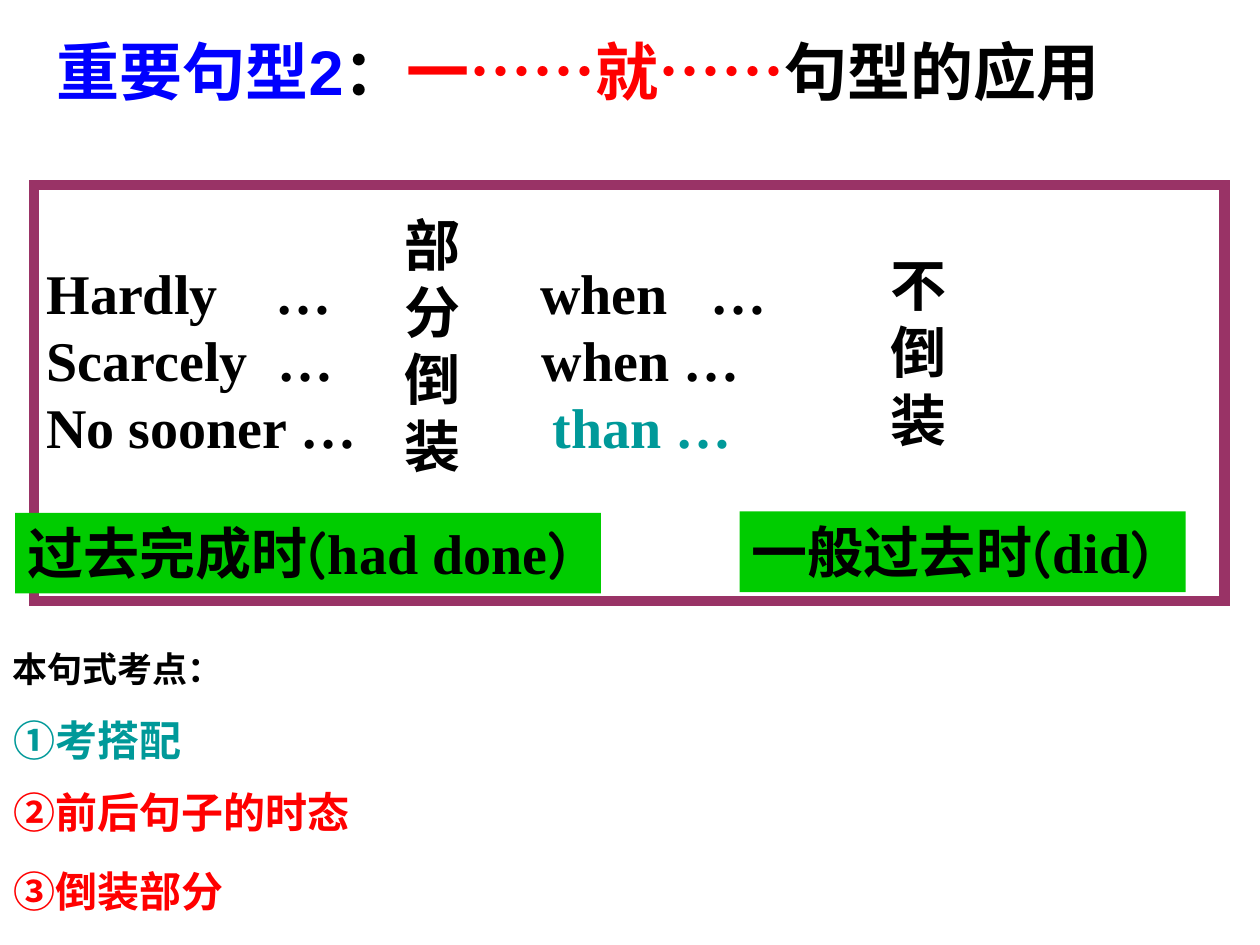
from lxml import etree
from pptx import Presentation
from pptx.dml.color import RGBColor
from pptx.enum.shapes import MSO_SHAPE
from pptx.enum.text import MSO_ANCHOR, PP_ALIGN
from pptx.oxml.ns import qn
from pptx.util import Inches, Pt

RECTANGLE = MSO_SHAPE.RECTANGLE
TOP = MSO_ANCHOR.TOP
LEFT = PP_ALIGN.LEFT
BLACK = RGBColor(0, 0, 0)
BLUE = RGBColor(0, 0, 0xFF)
RED = RGBColor(0xFF, 0, 0)
TEAL = RGBColor(0, 0x99, 0x99)
GREEN = RGBColor(0, 0xCC, 0)
PLUM = RGBColor(0x99, 0x33, 0x66)
SANS, SERIF, COMIC = "Arial", "Times New Roman", "Comic Neue"


def style_font(font, size, name=None, color=None):
    font.size = Pt(size)
    font.bold = True
    if name:
        font.name = name
    if color is not None:
        font.color.rgb = color


def add_text(page, box, text, size, name, color=BLACK):
    frame = page.shapes.add_textbox(*map(Inches, box)).text_frame
    frame.word_wrap = True
    para = frame.paragraphs[0]
    para.text = text
    style_font(para.font, size, name, color)


def add_colored_spans(para, parts):
    for text, color in parts:
        span = para.add_run()
        span.text = text
        span.font.color.rgb = color


def add_title(page, box):
    frame = page.shapes.add_textbox(*map(Inches, box)).text_frame
    frame.word_wrap = True
    para = frame.paragraphs[0]
    style_font(para.font, 36, SANS)
    add_colored_spans(para, (("重要句型2", BLUE), ("：", BLACK),
                             ("一……就……", RED), ("句型的应用", BLACK)))


def add_rectangle(page, box):
    shape = page.shapes.add_shape(RECTANGLE, *map(Inches, box))
    shape.shadow.inherit = False
    shape.text_frame.word_wrap = True
    shape.text_frame.vertical_anchor = TOP
    return shape


def add_tab_stops(para, stops):
    tabs = etree.SubElement(para._p.get_or_add_pPr(), qn("a:tabLst"))
    for stop in stops:
        etree.SubElement(tabs, qn("a:tab"), pos=str(Inches(stop)), algn="l")


def add_pattern_panel(page, box):
    panel = add_rectangle(page, box)
    panel.fill.background()
    panel.line.color.rgb = PLUM
    panel.line.width = Pt(6)
    etree.SubElement(panel.line._get_or_add_ln(), qn("a:miter"), lim="800000")
    frame = panel.text_frame
    frame.margin_top = Inches(0.58)
    rows = (
        ("Hardly\t…\t", "when\t…", BLACK, (1.82, 3.92, 5.27)),
        ("Scarcely\t…\t", "when …", BLACK, (1.83, 3.93)),
        ("No sooner …\t", "than …", TEAL, (4.02,)),
    )
    for index, (opening, ending, color, stops) in enumerate(rows):
        para = frame.paragraphs[0] if index == 0 else frame.add_paragraph()
        para.alignment = LEFT
        para.line_spacing = Pt(38.3)
        add_tab_stops(para, stops)
        style_font(para.font, 32, SERIF)
        add_colored_spans(para, ((opening, BLACK), (ending, color)))


def add_tense_label(page, box, tense, example):
    label = add_rectangle(page, box)
    label.fill.solid()
    label.fill.fore_color.rgb = GREEN
    label.line.fill.background()
    para = label.text_frame.paragraphs[0]
    para.alignment = LEFT
    style_font(para.font, 32, color=BLACK)
    for text, name in ((tense + "(", COMIC), (example, SERIF), (")", COMIC)):
        span = para.add_run()
        span.text = text
        span.font.name = name


def add_exam_points(page, left, top):
    add_text(page, (left, top, 8.51, 0.45), "本句式考点：", 20, SANS)
    points = (("①考搭配", TEAL, 0.53, 1.7),
              ("②前后句子的时态", RED, 1.1, 3.1),
              ("③倒装部分", RED, 1.73, 2.1))
    for text, color, offset, width in points:
        add_text(page, (left + 0.01, top + offset, width, 0.5),
                 text, 24, SANS, color)


def main():
    deck = Presentation()
    deck.slide_width, deck.slide_height = Inches(10), Inches(7.5)
    page = deck.slides.add_slide(deck.slide_layouts[6])
    add_pattern_panel(page, (0.27, 1.47, 9.45, 3.3))
    add_tense_label(page, (0.12, 4.07, 4.65, 0.64), "过去完成时", "had done")
    add_tense_label(page, (5.87, 4.06, 3.54, 0.64), "一般过去时", "did")
    add_text(page, (3.11, 1.62, 0.79, 2.24), "部分倒装", 32, COMIC)
    add_text(page, (6.97, 1.94, 0.79, 1.7), "不倒装", 32, COMIC)
    add_exam_points(page, 0, 5.09)
    add_title(page, (0.35, 0.21, 9.65, 1.3))
    deck.save("out.pptx")


if __name__ == "__main__":
    main()
